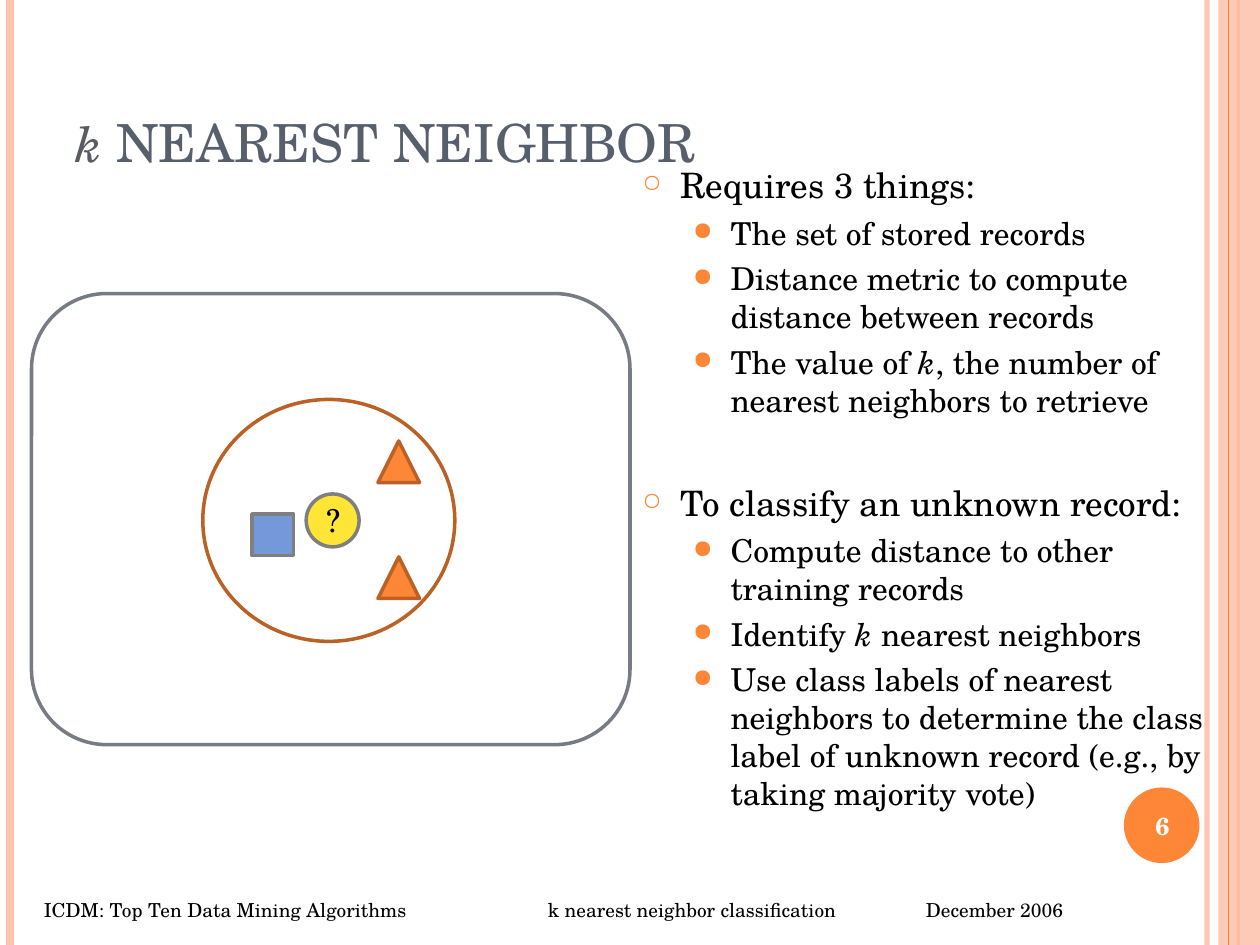
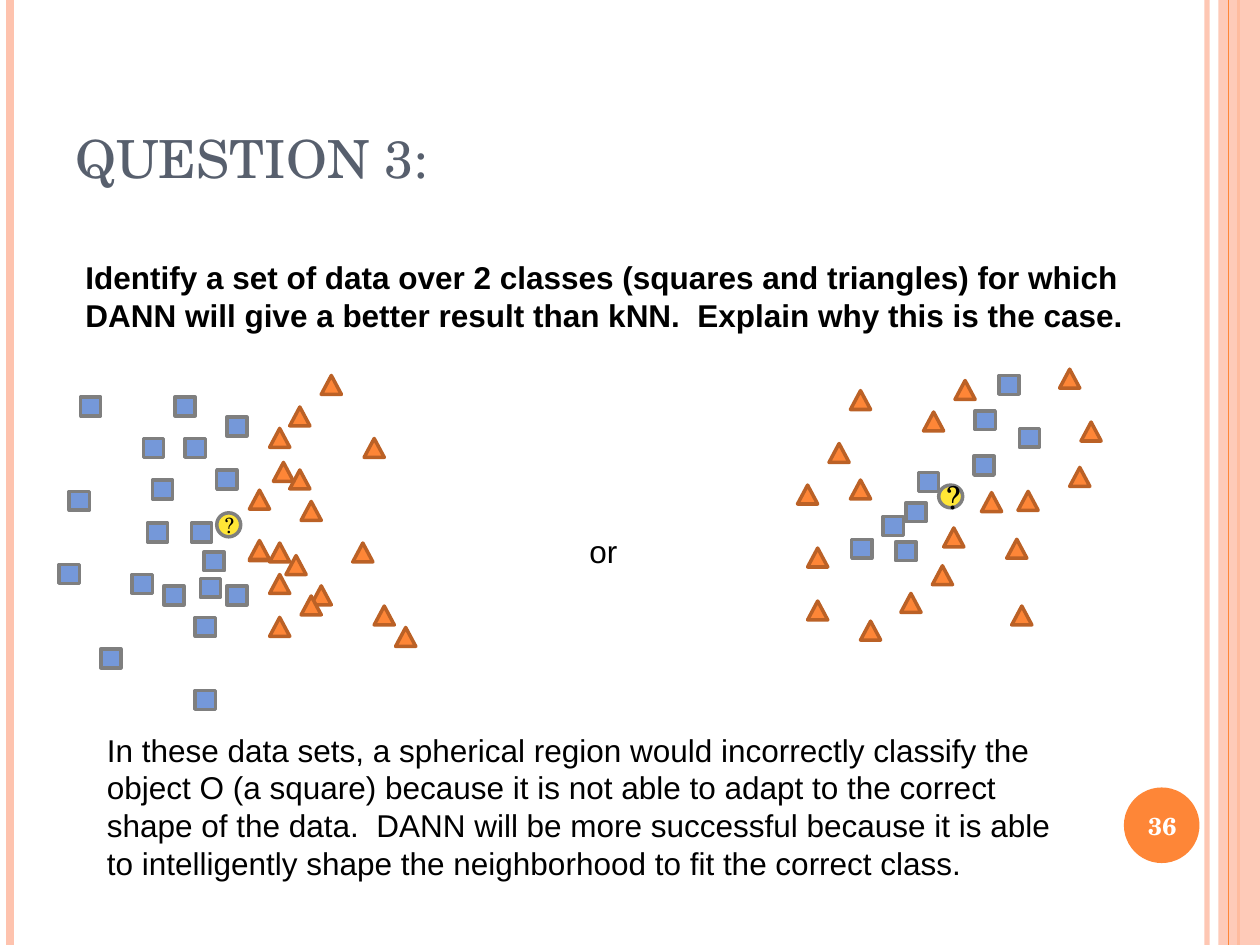
from lxml import etree
from pptx import Presentation
from pptx.dml.color import RGBColor
from pptx.enum.shapes import MSO_CONNECTOR, MSO_SHAPE
from pptx.enum.text import MSO_ANCHOR, PP_ALIGN
from pptx.oxml.ns import qn
from pptx.util import Inches, Pt

LINE = MSO_CONNECTOR.STRAIGHT
RECT = MSO_SHAPE.RECTANGLE
ROUND = MSO_SHAPE.ROUNDED_RECTANGLE
OVAL = MSO_SHAPE.OVAL
WEDGE = MSO_SHAPE.ISOSCELES_TRIANGLE
TOP, MIDDLE, BOTTOM = MSO_ANCHOR.TOP, MSO_ANCHOR.MIDDLE, MSO_ANCHOR.BOTTOM
LEFT, CENTER = PP_ALIGN.LEFT, PP_ALIGN.CENTER


class Theme:
    serif, sans = "TeX Gyre Schola", "Arial"
    black, white = "000000", "FFFFFF"
    orange, rust, peach = "FE8637", "BB6126", "FEC3AE"
    blue, gray, yellow = "7598D9", "7F7F7F", "FFE636"
    slate, ash, steel = "575F6D", "595D63", "777C84"
    title, lead, head, body = 30, 28, 20, 18
    page, mark, foot = 14, 12, 11
    edge = 2


BULLETS = [
    dict(size=Theme.head, char="○", scale=70, left=0.3, gap=6),
    dict(size=Theme.body, char="●", scale=80, left=0.7, gap=4.5),
]
NEEDS = [
    (0, ["Requires 3 things:"]),
    (1, ["The set of stored records"]),
    (1, ["Distance metric to compute distance between records"]),
    (1, ["The value of ", "k", ", the number of nearest neighbors to retrieve"]),
]
STEPS = [
    (0, ["To classify an unknown record:"]),
    (1, ["Compute distance to other training records"]),
    (1, ["Identify ", "k", " nearest neighbors"]),
    (1, ["Use class labels of nearest neighbors to determine the class label "
         "of unknown record (e.g., by taking majority vote)"]),
]
STEP_GAP = 36

LEFT_BOXES = [
    (1.55, 5.48), (1.62, 4.38), (1.8, 3.31), (1.14, 3.48), (1.55, 4.9),
    (1.47, 3.48), (1.3, 4.65), (1.8, 4.65), (1.72, 3.73), (1.05, 4.56),
    (1.39, 3.15), (1.59, 4.59), (1.21, 3.81), (1.17, 4.15), (1.52, 4.15),
    (0.64, 3.15), (0.55, 3.9), (0.47, 4.48), (0.8, 5.15),
]
LEFT_WEDGES = [
    (1.98, 4.3), (2.27, 4.41), (2.39, 3.98), (2.3, 3.73), (2.14, 4.56),
    (2.47, 4.65), (2.14, 4.9), (2.14, 3.4), (2.14, 4.31), (2.39, 4.73),
    (2.3, 3.23), (2.17, 3.67), (1.98, 4.29), (1.98, 3.89), (2.55, 2.98),
    (2.8, 4.31), (2.97, 4.81), (3.14, 4.98), (2.89, 3.48),
]
RIGHT_BOXES = [
    (7.19, 3.99), (8.09, 3.4), (6.76, 4.28), (7.74, 3.26), (7.11, 4.3),
    (7.73, 3.62), (7.93, 2.98), (7.01, 4.1), (7.29, 3.75),
]
RIGHT_WEDGES = [
    (7.99, 4.28), (7.4, 4.49), (6.58, 3.52), (7.15, 4.71), (8.58, 3.35),
    (8.49, 3.71), (8.08, 3.9), (7.49, 4.19), (7.79, 3.91), (8.03, 4.81),
    (7.33, 3.27), (6.83, 4.93), (6.75, 3.1), (8.41, 2.93), (7.58, 3.02),
    (6.75, 3.81), (6.33, 3.85), (6.41, 4.35), (6.41, 4.77),
]


def apply(item, values):
    for name, value in values.items():
        setattr(item, name, value)


def node(parent, tag, **values):
    return etree.SubElement(parent, qn(tag), {k: str(v) for k, v in values.items()})


def fade(shape, alpha):
    color = shape.element.spPr.find(".//" + qn("a:srgbClr"))
    node(color, "a:alpha", val=alpha * 1000)


def write(para, text, size, color=Theme.black, face=Theme.serif, **style):
    run = para.add_run()
    run.text = text
    apply(run.font, dict(size=Pt(size), name=face, **style))
    run.font.color.rgb = RGBColor.from_string(color)


def box(slide, area, anchor=TOP, align=LEFT):
    frame = slide.shapes.add_textbox(*map(Inches, area)).text_frame
    apply(frame, dict(word_wrap=True, vertical_anchor=anchor))
    para = frame.paragraphs[0]
    para.alignment = align
    return para


def shape(slide, kind, area, fill=None, edge=None):
    item = slide.shapes.add_shape(kind, *map(Inches, area))
    item.shadow.inherit = False
    if fill:
        item.fill.solid()
        item.fill.fore_color.rgb = RGBColor.from_string(fill)
    else:
        item.fill.background()
    if edge:
        item.line.color.rgb = RGBColor.from_string(edge)
        item.line.width = Pt(Theme.edge)
    else:
        item.line.fill.background()
    return item


def stripe(slide, left, color, width):
    line = slide.shapes.add_connector(
        LINE, Inches(left), Inches(0), Inches(left), Inches(7.5))
    line.line.color.rgb = RGBColor.from_string(color)
    line.line.width = Pt(width)
    node(line.element.spPr, "a:effectLst")
    return line


def square(slide, left, top, wide=0.16, high=0.15):
    shape(slide, RECT, (left, top, wide, high), Theme.blue, Theme.gray)


def wedge(slide, left, top, wide=0.16, high=0.15):
    shape(slide, WEDGE, (left, top, wide, high), Theme.orange, Theme.rust)


def query(slide, area, size):
    item = shape(slide, OVAL, area, Theme.yellow, Theme.gray)
    item.text_frame.vertical_anchor = MIDDLE
    para = item.text_frame.paragraphs[0]
    para.alignment = CENTER
    write(para, "?", size)


def cloud(slide, boxes, wedges):
    for spot in boxes:
        square(slide, *spot)
    for spot in wedges:
        wedge(slide, *spot)


def bullet(para, level, parts, gap=None):
    form = BULLETS[level]
    apply(para, dict(level=level, space_before=Pt(gap or form["gap"])))
    props = para._p.get_or_add_pPr()
    props.set("marL", str(Inches(form["left"])))
    props.set("indent", str(Inches(-0.3)))
    node(node(props, "a:buClr"), "a:srgbClr", val=Theme.orange)
    node(props, "a:buSzPct", val=form["scale"] * 1000)
    node(props, "a:buChar", char=form["char"])
    for part in parts:
        write(para, part, form["size"], italic=part == "k")


def outline(slide, area):
    first = box(slide, area)
    frame = first._parent
    for spot, (level, parts) in enumerate(NEEDS + STEPS):
        para = frame.add_paragraph() if spot else first
        bullet(para, level, parts, STEP_GAP if spot == len(NEEDS) else None)


def footer(slide, parts, stops):
    para = box(slide, (0.25, 7.08, 9.08, 0.29))
    tabs = node(para._p.get_or_add_pPr(), "a:tabLst")
    for stop in stops:
        node(tabs, "a:tab", pos=Inches(stop), algn="l")
    write(para, "\t".join(parts), Theme.foot)


def title(slide, top, text, lead=None):
    para = box(slide, (0.5, top, 8.17, 1.25), BOTTOM)
    if lead:
        write(para, lead, Theme.lead, Theme.ash, italic=True)
    write(para, text, Theme.title, Theme.slate)


def note(slide, area, text, bold=False):
    write(box(slide, area), text, Theme.body, face=Theme.sans, bold=bold)


def start(deck, page):
    slide = deck.slides.add_slide(deck.slide_layouts[6])
    fade(stripe(slide, 9.58, Theme.peach, 3), 93)
    stripe(slide, 0.08, Theme.peach, 4.5)
    stripe(slide, 9.83, Theme.orange, 1.5)
    fade(shape(slide, RECT, (9.67, 0, 0.33, 7.5), Theme.peach), 87)
    stripe(slide, 9.75, Theme.orange, 0.75)
    shape(slide, OVAL, (8.92, 6.25, 0.6, 0.6), Theme.orange)
    para = box(slide, (8.89, 6.27, 0.67, 0.57), MIDDLE, CENTER)
    write(para, str(page), Theme.page, Theme.white, bold=True)
    return slide


def nearest(deck):
    slide = start(deck, 6)
    title(slide, 0.17, "NEAREST NEIGHBOR", "k ")
    outline(slide, (5, 1.25, 4.67, 5.33))
    shape(slide, ROUND, (0.25, 2.33, 4.75, 3.58), edge=Theme.steel)
    for top in (4.42, 3.5):
        wedge(slide, 3, top, 0.33, 0.33)
    square(slide, 2, 4.08, 0.33, 0.33)
    query(slide, (2.43, 3.92, 0.42, 0.42), Theme.body)
    shape(slide, OVAL, (1.61, 3.17, 2, 1.92), edge=Theme.rust)
    footer(slide, ["ICDM: Top Ten Data Mining Algorithms",
                   "k nearest neighbor classification", "December 2006"], (4, 7))


def question(deck):
    slide = start(deck, 36)
    title(slide, 0.3, "QUESTION 3:")
    note(slide, (0.58, 2, 8.58, 0.7),
         "Identify a set of data over 2 classes (squares and triangles) for which "
         "DANN will give a better result than kNN.  Explain why this is the case.",
         bold=True)
    query(slide, (1.72, 4.07, 0.19, 0.19), Theme.mark)
    cloud(slide, LEFT_BOXES, LEFT_WEDGES)
    note(slide, (4.58, 4.17, 1.5, 0.4), "or")
    cloud(slide, RIGHT_BOXES, RIGHT_WEDGES)
    query(slide, (7.45, 3.85, 0.19, 0.18), Theme.body)
    note(slide, (0.75, 5.75, 7.75, 1.3),
         "In these data sets, a spherical region would incorrectly classify the "
         "object O (a square) because it is not able to adapt to the correct "
         "shape of the data.  DANN will be more successful because it is able "
         "to intelligently shape the neighborhood to fit the correct class.")


def main():
    deck = Presentation()
    apply(deck, dict(slide_width=Inches(10), slide_height=Inches(7.5)))
    nearest(deck)
    question(deck)
    deck.save("out.pptx")


if __name__ == "__main__":
    main()
